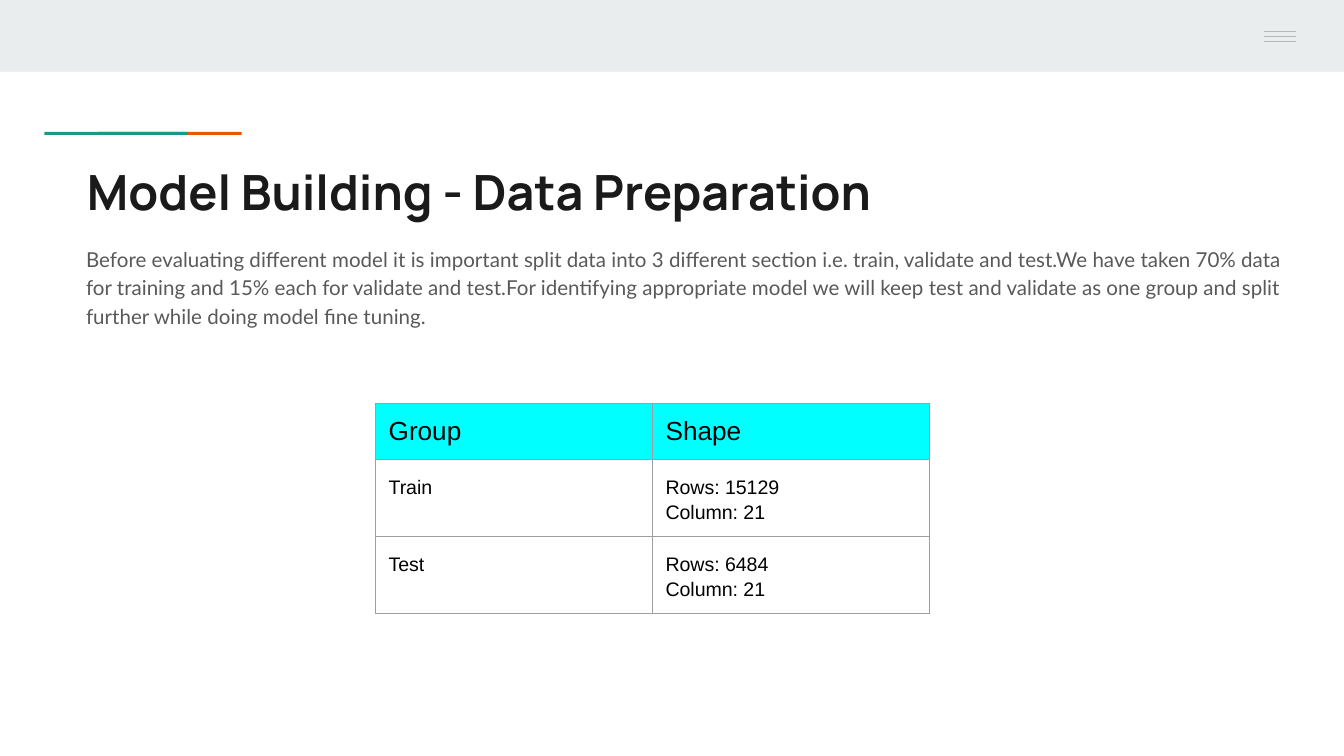
from lxml.etree import SubElement
from pptx import Presentation
from pptx.dml.color import RGBColor
from pptx.enum.shapes import MSO_CONNECTOR, MSO_SHAPE
from pptx.enum.text import MSO_ANCHOR, MSO_AUTO_SIZE, PP_ALIGN
from pptx.oxml.ns import qn
from pptx.util import Pt

# Content
TITLE = "Model Building - Data Preparation"
BODY = (
    "Before evaluating different model it is important split data into 3 different "
    "section i.e. train, validate and test.We have taken 70% data for training and "
    "15% each for validate and test.For identifying appropriate model we will keep "
    "test and validate as one group and split further while doing model fine tuning."
)
ROWS = [
    ("Group", "Shape"),
    ("Train", "Rows: 15129\nColumn: 21"),
    ("Test", "Rows: 6484\nColumn: 21"),
]

# Layout in points: left, top, width, height
BARS = [
    ((0, 0, 720, 38.4), "E9EDEE"),
    ((52.8, 70.7, 76.7, 1.6), "EB5600"),
    ((23.8, 70.7, 76.7, 1.6), "1A9988"),
    ((652.3, 0, 67.7, 36), "E9EDEE"),
]
MENU = {"left": 677, "right": 694.2, "top": 16.8, "gap": 2.7, "count": 3}
TITLE_BOX = (39.4, 79.4, 632.9, 53.3)
BODY_BOX = (38.9, 123.1, 670.3, 61.2)
TABLE_AT = (201, 216.2)
COL_W = 148.4
ROW_H = (29.9, 41, 41)
PAD = 7.2


def tint(code):
    return RGBColor.from_string(code)


def write(frame, text, size, font="Arial", color="000000", bold=False, gap=1.0):
    frame.text = text
    frame.word_wrap = True
    for para in frame.paragraphs:
        props = para._p.get_or_add_pPr()
        props.set("marL", "0")
        props.set("indent", "0")
        SubElement(props, qn("a:buNone"))
        para.alignment = PP_ALIGN.LEFT
        para.line_spacing = gap
        para.space_before = para.space_after = Pt(0)
        for run in para.runs:
            face = run.font
            face.size, face.name, face.bold = Pt(size), font, bold
            face.color.rgb = tint(color)


def pad(item):
    item.margin_left = item.margin_right = Pt(PAD)
    item.margin_top = item.margin_bottom = Pt(PAD)
    item.vertical_anchor = MSO_ANCHOR.TOP


def place(shape, box):
    shape.left, shape.top, shape.width, shape.height = map(Pt, box)
    pad(shape.text_frame)
    shape.text_frame.auto_size = MSO_AUTO_SIZE.NONE


def border(cell, color, width):
    props = cell._tc.get_or_add_tcPr()
    for side in ("lnL", "lnR", "lnT", "lnB"):
        line = SubElement(props, qn(f"a:{side}"), w=str(Pt(width)))
        fill = SubElement(line, qn("a:solidFill"))
        SubElement(fill, qn("a:srgbClr"), val=color)


def main():
    deck = Presentation()
    deck.slide_width, deck.slide_height = Pt(720), Pt(405)
    slide = deck.slides.add_slide(deck.slide_layouts[1])
    shapes = slide.shapes

    # Title and text
    title, body = slide.placeholders
    place(title, TITLE_BOX)
    write(title.text_frame, TITLE, 26, font="Manrope", color="1A1A1A", bold=True)
    place(body, BODY_BOX)
    write(body.text_frame, BODY, 11, font="Lato", color="595959", gap=1.15)

    # Header band, accent bars and menu panel
    for box, color in BARS:
        bar = shapes.add_shape(MSO_SHAPE.RECTANGLE, *map(Pt, box))
        bar.shadow.inherit = False
        bar.fill.solid()
        bar.fill.fore_color.rgb = tint(color)
        bar.line.fill.background()

    # Menu lines
    for i in range(MENU["count"]):
        y = Pt(MENU["top"] + i * MENU["gap"])
        rule = shapes.add_connector(
            MSO_CONNECTOR.STRAIGHT, Pt(MENU["left"]), y, Pt(MENU["right"]), y
        )
        rule.line.color.rgb = tint("B7B7B7")
        rule.line.width = Pt(0.75)
        SubElement(rule._element.spPr, qn("a:effectLst"))

    # Table
    cols = len(ROWS[0])
    size = (COL_W * cols, sum(ROW_H))
    grid = shapes.add_table(len(ROWS), cols, *map(Pt, TABLE_AT + size)).table
    grid.first_row = grid.horz_banding = False
    for col in grid.columns:
        col.width = Pt(COL_W)
    for r, (row, high) in enumerate(zip(ROWS, ROW_H)):
        grid.rows[r].height = Pt(high)
        for c, text in enumerate(row):
            cell = grid.cell(r, c)
            pad(cell)
            border(cell, "9E9E9E", 0.75)
            if r == 0:
                cell.fill.solid()
                cell.fill.fore_color.rgb = tint("00FFFF")
                write(cell.text_frame, text, 14)
            else:
                cell.fill.background()
                write(cell.text_frame, text, 10.5, gap=1.15)

    deck.save("out.pptx")


if __name__ == "__main__":
    main()
